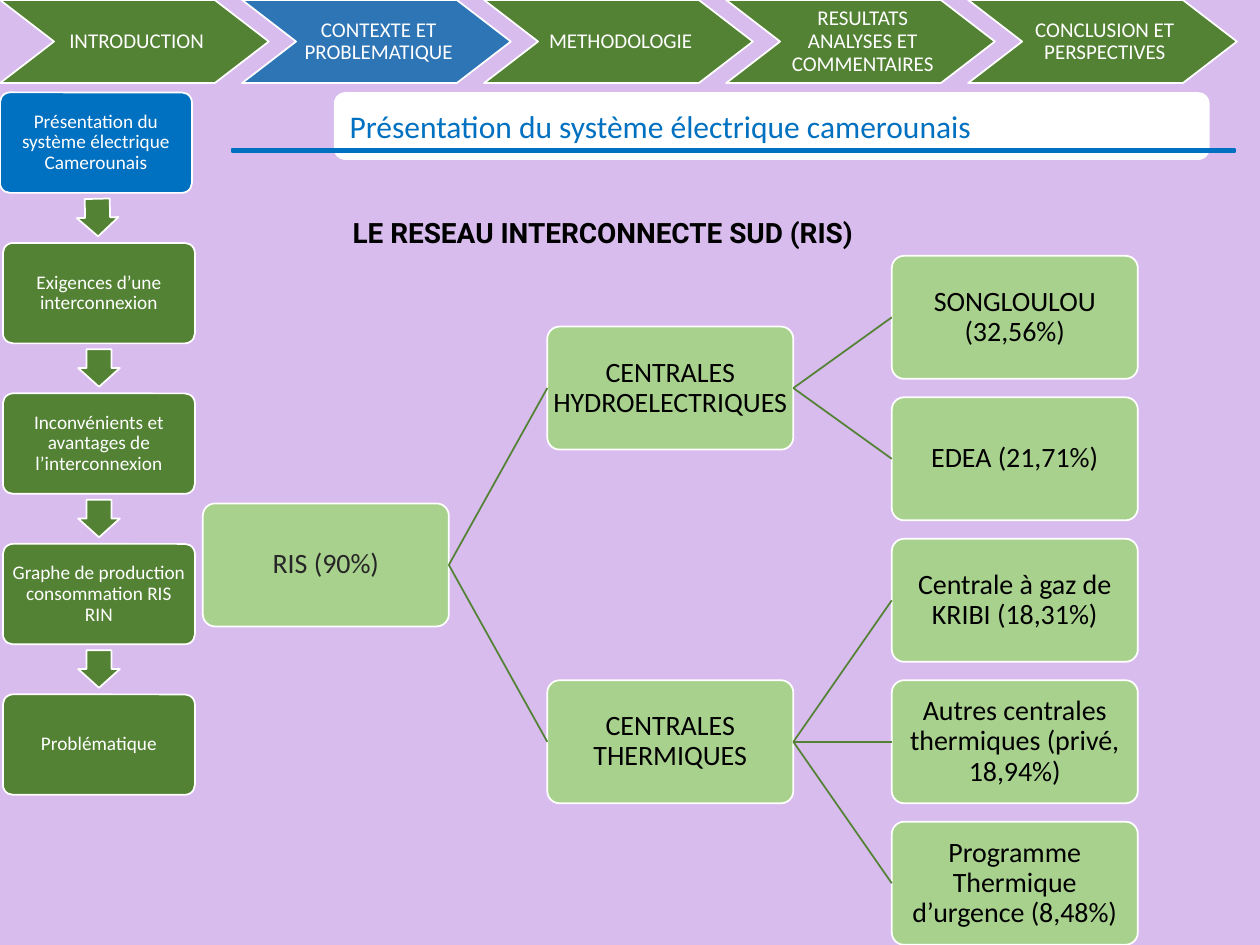
from lxml.etree import SubElement
from pptx import Presentation
from pptx.dml.color import RGBColor
from pptx.enum.shapes import MSO_CONNECTOR as LINK, MSO_SHAPE as SHAPE
from pptx.enum.text import MSO_ANCHOR as ANCHOR, PP_ALIGN as ALIGN
from pptx.oxml.ns import qn
from pptx.util import Pt

GREEN, BLUE, WHITE, BLACK = "548235", "0070C0", "FFFFFF", "000000"
colour = RGBColor.from_string

deck = Presentation()
deck.slide_width, deck.slide_height = Pt(720), Pt(540)
slide = deck.slides.add_slide(deck.slide_layouts[6])
slide.background.fill.solid()
slide.background.fill.fore_color.rgb = colour("D7BCED")


def block(kind, box, fill, outline=WHITE, adjust=()):
    part = slide.shapes.add_shape(kind, *map(Pt, box))
    part.shadow.inherit = False
    part.fill.solid()
    part.fill.fore_color.rgb = colour(fill)
    part.line.color.rgb = colour(outline)
    part.line.width = Pt(1)
    for place, share in enumerate(adjust):
        part.adjustments[place] = share
    return part


def write(part, words, size, ink, margins, para_format, font="Calibri", bold=False):
    frame = part.text_frame
    left, top, right, bottom = map(Pt, margins)
    frame_format = {"word_wrap": True, "vertical_anchor": ANCHOR.MIDDLE,
                    "margin_left": left, "margin_top": top,
                    "margin_right": right, "margin_bottom": bottom}
    para = frame.paragraphs[0]
    para.text = words
    font_format = {"name": font, "size": Pt(size), "bold": bold}
    for target, values in ((frame, frame_format), (para, para_format),
                           (para.font, font_format)):
        for name, value in values.items():
            setattr(target, name, value)
    para.font.color.rgb = colour(ink)


centred = {"alignment": ALIGN.CENTER, "line_spacing": 0.9, "space_after": Pt(5)}
left_aligned = {"alignment": ALIGN.LEFT}

# Chapter chevrons across the top
chapters = ["INTRODUCTION", "CONTEXTE ET PROBLEMATIQUE", "METHODOLOGIE",
            "RESULTATS ANALYSES ET COMMENTAIRES", "CONCLUSION ET PERSPECTIVES"]
for index, chapter in enumerate(chapters):
    chevron = block(SHAPE.CHEVRON, (138.3 * index, 0, 153.6, 47.5),
                    "2E75B6" if index == 1 else GREEN, adjust=[0.65])
    write(chevron, chapter, 12, WHITE, (3.6, 1.4, 1, 1.4), centred)

# Section title with its rule
section = block(SHAPE.ROUNDED_RECTANGLE, (190.8, 52.7, 500.4, 38.7), WHITE)
section.line.fill.background()
write(section, "Présentation du système électrique camerounais", 18, BLUE,
      (7.2, 3.6, 7.2, 3.6), left_aligned)
block(SHAPE.RECTANGLE, (132.5, 85.2, 573.4, 1.6), BLUE, outline=BLUE)

# Heading of the tree
heading = slide.shapes.add_textbox(Pt(194.4), Pt(119.5), Pt(333.4), Pt(26.6))
write(heading, "LE RESEAU INTERCONNECTE SUD (RIS)", 16, BLACK,
      (7.2, 3.6, 7.2, 3.6), left_aligned, font="Roboto", bold=True)

# Tree of power plants: column, row (a parent sits midway), parent
nodes = [
    ("RIS (90%)", 0, 1.75, None),
    ("CENTRALES HYDROELECTRIQUES", 1, 0.5, 0),
    ("SONGLOULOU (32,56%)", 2, 0, 1),
    ("EDEA (21,71%)", 2, 1, 1),
    ("CENTRALES THERMIQUES", 1, 3, 0),
    ("Centrale à gaz de KRIBI (18,31%)", 2, 2, 4),
    ("Autres centrales thermiques (privé, 18,94%)", 2, 3, 4),
    ("Programme Thermique d’urgence (8,48%)", 2, 4, 4),
]
plants = []
for label, column, row, parent in nodes:
    plant = block(SHAPE.ROUNDED_RECTANGLE,
                  (115.9 + 196.85 * column, 146.2 + 80.85 * row, 140.6, 70.3),
                  "A9D18E", adjust=[0.1])
    write(plant, label, 16, "262626" if parent is None else BLACK,
          (0.8, 0.8, 0.8, 0.8), {**centred, "space_after": Pt(7)})
    plants.append(plant)
    if parent is not None:
        branch = slide.shapes.add_connector(LINK.STRAIGHT, 0, 0, 0, 0)
        branch.begin_connect(plants[parent], 3)
        branch.end_connect(plant, 1)
        branch.line.color.rgb = colour(GREEN)
        branch.line.width = Pt(1)
        SubElement(branch._element.spPr, qn("a:effectLst"))

# Steps of the current chapter, with arrows between them
steps = ["Présentation du système électrique Camerounais",
         "Exigences d’une interconnexion",
         "Inconvénients et avantages de l’interconnexion",
         "Graphe de production consommation RIS RIN",
         "Problématique"]
for index, step in enumerate(steps):
    current = index == 0
    left, top = 0 if current else 1.7, 52.8 + 86 * index
    card = block(SHAPE.ROUNDED_RECTANGLE, (left, top, 109.7, 57.4),
                 BLUE if current else GREEN, adjust=[0.1])
    write(card, step, 11, WHITE, (3.4, 3.4, 3.4, 3.4), centred)
    if index < len(steps) - 1:
        arrow = block(SHAPE.DOWN_ARROW,
                      (43.9 if current else 44.7, top + 60.8, 23.8, 21.5),
                      GREEN, adjust=[0.6, 0.5])
        arrow.rotation = 358.7 if current else 0

deck.save("out.pptx")
